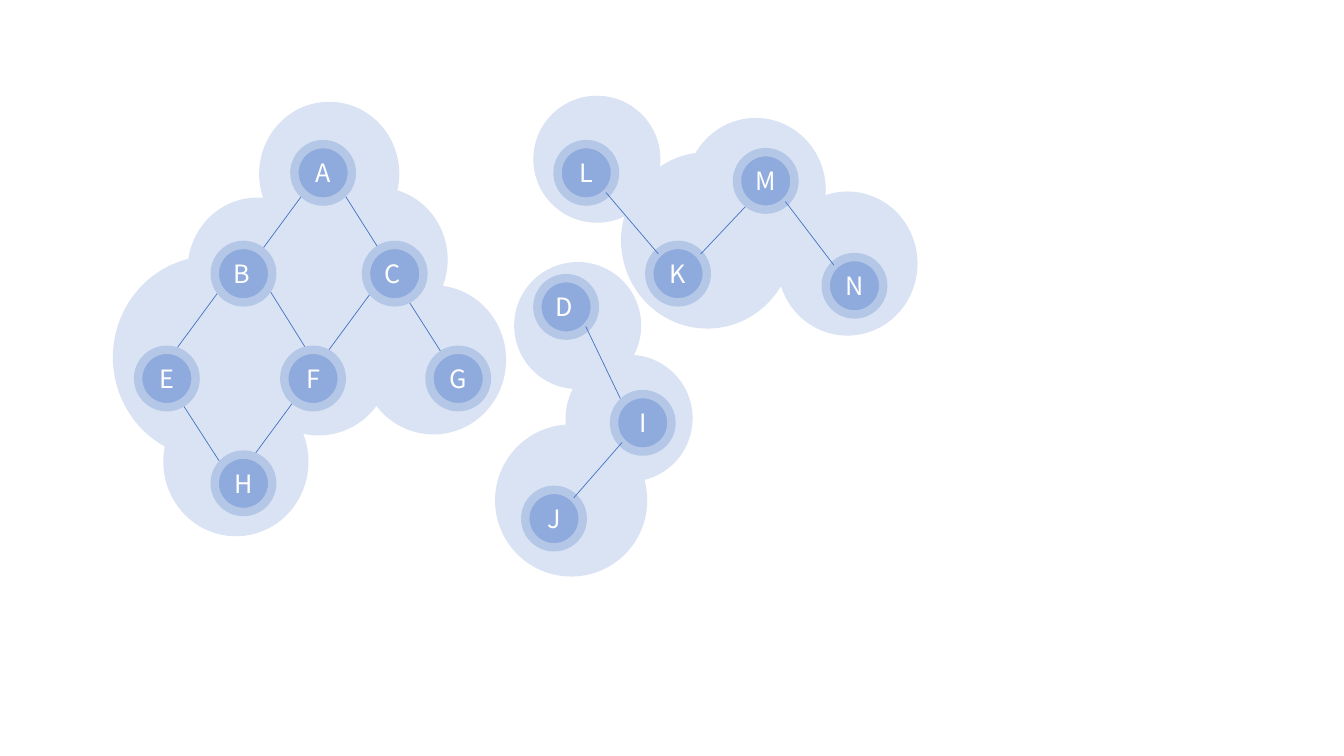
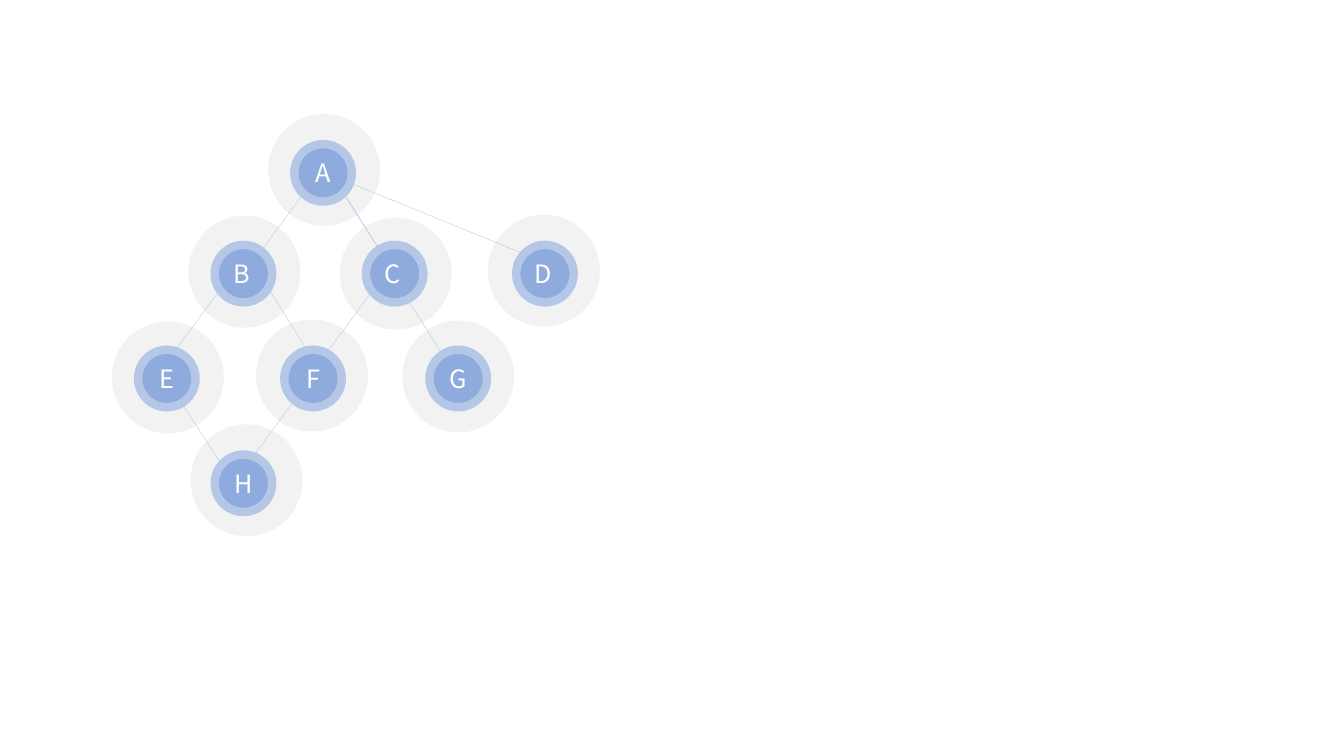
import pptx
import pptx.util
from pptx.dml.color import RGBColor
from pptx.enum.shapes import MSO_CONNECTOR, MSO_SHAPE
from pptx.enum.text import MSO_ANCHOR, PP_ALIGN
from pptx.oxml.xmlchemy import OxmlElement

Inches, Pt = pptx.util.Inches, pptx.util.Pt

FONT = "Noto Sans CJK SC"
WHITE = RGBColor(0xFF, 0xFF, 0xFF)
NODE_FILL = RGBColor(0x8F, 0xAA, 0xDC)
RING = RGBColor(0xB4, 0xC7, 0xE7)
EDGE_BLUE = RGBColor(0x44, 0x72, 0xC4)
HALO_BLUE = RGBColor(0xDA, 0xE3, 0xF3)
HALO_GREY = RGBColor(0xF2, 0xF2, 0xF2)
NODE_SIZE = 0.57
GREY_HALO_SIZE = 1.11
JUSTIFIED = "BCD"

# Node: left, top. Edge: x and y of the start, x and y of the end.
LATTICE_NODES = {
    "A": (2.92, 1.43), "B": (2.13, 2.43), "C": (3.63, 2.43),
    "E": (1.37, 3.47), "F": (2.82, 3.47), "H": (2.13, 4.51),
    "G": (4.26, 3.47),
}
LATTICE_EDGES = {
    "AB": (2.42, 2.72, 3.01, 1.92), "AC": (3.91, 2.71, 3.41, 1.92),
    "BE": (1.64, 3.61, 2.23, 2.81), "BF": (3.13, 3.61, 2.63, 2.81),
    "CF": (3.13, 3.65, 3.72, 2.85), "CG": (4.52, 3.72, 4.01, 2.92),
    "FH": (2.45, 4.61, 3.04, 3.81), "EH": (2.23, 4.66, 1.72, 3.87),
}

# Each layer draws its edges, then its nodes, over the layer before.
CLUSTERS = {
    "halo_color": HALO_BLUE,
    "halos": [
        (1.12, 2.54, 1.96, 2.01), (1.62, 3.84, 1.44, 1.48),
        (2.44, 2.84, 1.44, 1.48), (3.58, 2.83, 1.44, 1.48),
        (3.05, 1.86, 1.39, 1.43), (1.86, 1.96, 1.39, 1.43),
        (2.57, 1.01, 1.39, 1.43), (7.71, 1.9, 1.39, 1.43),
        (6.8, 1.17, 1.39, 1.43), (6.16, 1.51, 1.71, 1.75),
        (5.29, 0.95, 1.26, 1.26), (4.91, 4.21, 1.51, 1.51),
        (5.61, 3.52, 1.26, 1.26), (5.1, 2.6, 1.26, 1.26),
    ],
    "edge_color": EDGE_BLUE,
    "edge_width": 0.5,
    "layers": [
        (LATTICE_EDGES, LATTICE_NODES | {"D": (5.33, 2.76)}),
        ({"DI": (6.17, 3.99, 5.81, 3.24)},
         {"I": (6.09, 3.91), "J": (5.21, 4.86),
          "K": (6.44, 2.43), "L": (5.53, 1.43)}),
        ({"IJ": (6.17, 4.39, 5.69, 4.94), "KL": (6.53, 2.52, 6.01, 1.91),
          "KM": (6.95, 2.52, 7.44, 2)},
         {"M": (7.31, 1.51), "N": (8.19, 2.55)}),
        ({"MN": (7.79, 2, 8.27, 2.63)}, {}),
    ],
}
GREY_HALO_CORNERS = [
    (4.84, 2.13), (3.99, 3.18), (3.37, 2.16), (2.54, 3.17),
    (1.89, 4.21), (1.11, 3.19), (1.87, 2.14), (2.66, 1.13),
]
SEPARATE = {
    "halo_color": HALO_GREY,
    "halos": [(x, y, GREY_HALO_SIZE, GREY_HALO_SIZE)
              for x, y in GREY_HALO_CORNERS],
    "edge_color": RING,
    "edge_width": 0.25,
    "wide_edges": {"AC": 0.5},
    "layers": [
        (LATTICE_EDGES | {"AD": (3.51, 1.83, 5.2, 2.52)},
         LATTICE_NODES | {"D": (5.12, 2.43)}),
    ],
}


def add_circle(s, box, fill):
    sp = s.shapes.add_shape(MSO_SHAPE.OVAL, *map(Inches, box))
    sp.shadow.inherit = False
    sp.fill.solid()
    sp.fill.fore_color.rgb = fill
    sp.line.fill.background()
    return sp


def add_node(s, letter, corner):
    sp = add_circle(s, (*corner, NODE_SIZE, NODE_SIZE), NODE_FILL)
    sp.line.color.rgb = RING
    sp.line.width = Pt(6)
    tf = sp.text_frame
    tf.text = letter
    tf.vertical_anchor = MSO_ANCHOR.MIDDLE
    p = tf.paragraphs[0]
    p.alignment = PP_ALIGN.JUSTIFY if letter in JUSTIFIED else PP_ALIGN.CENTER
    font = p.runs[0].font
    font.name, font.size, font.color.rgb = FONT, Pt(18), WHITE


def add_edge(s, ends, color, width):
    line = s.shapes.add_connector(MSO_CONNECTOR.STRAIGHT, *map(Inches, ends))
    line.line.color.rgb = color
    line.line.width = Pt(width)
    line._element.spPr.append(OxmlElement("a:effectLst"))


def add_graph(prs, graph):
    s = prs.slides.add_slide(prs.slide_layouts[6])
    for box in graph["halos"]:
        add_circle(s, box, graph["halo_color"])
    wide = graph.get("wide_edges", {})
    for edges, nodes in graph["layers"]:
        for name, ends in edges.items():
            add_edge(s, ends, graph["edge_color"],
                     wide.get(name, graph["edge_width"]))
        for letter, corner in nodes.items():
            add_node(s, letter, corner)


def main():
    prs = pptx.Presentation()
    prs.slide_width, prs.slide_height = Inches(13.33), Inches(7.5)
    for graph in (CLUSTERS, SEPARATE):
        add_graph(prs, graph)
    prs.save("out.pptx")


if __name__ == "__main__":
    main()
